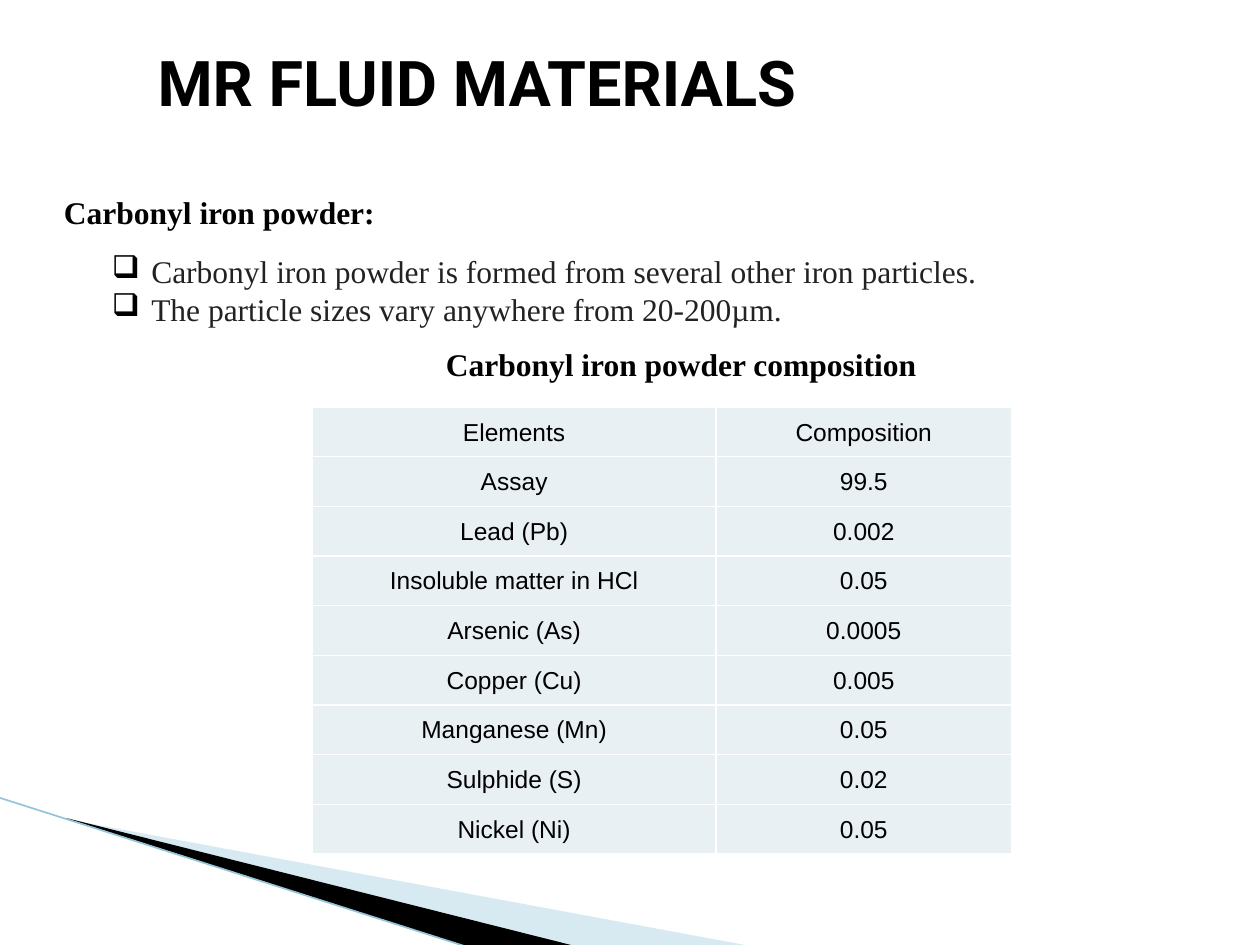
import pptx
import pptx.dml.color
import pptx.enum.shapes
import pptx.enum.text
import pptx.oxml
import pptx.oxml.ns
import pptx.util
from lxml import etree

Pt = pptx.util.Pt
RGBColor = pptx.dml.color.RGBColor

BLACK = RGBColor(0x00, 0x00, 0x00)
WHITE = RGBColor(0xFF, 0xFF, 0xFF)
BODY = RGBColor(0x22, 0x22, 0x22)
CELL = RGBColor(0xE8, 0xF0, 0xF4)
PALE_BLUE = RGBColor(0x9C, 0xCA, 0xDC)
LINE_BLUE = RGBColor(0x93, 0xC5, 0xD8)

COMPOSITION = [
    ("Elements", "Composition"),
    ("Assay", "99.5"),
    ("Lead (Pb)", "0.002"),
    ("Insoluble matter in HCl", "0.05"),
    ("Arsenic (As)", "0.0005"),
    ("Copper (Cu)", "0.005"),
    ("Manganese (Mn)", "0.05"),
    ("Sulphide (S)", "0.02"),
    ("Nickel (Ni)", "0.05"),
]


def add_xml(parent, tag, **attributes):
    return etree.SubElement(parent, pptx.oxml.ns.qn(tag), attributes)


class SlideBuilder:
    title_font = "Roboto"
    body_font = "Times New Roman"
    table_font = "Arial"

    def __init__(self, slide):
        self.slide = slide

    def set_font(self, paragraph, name, size, color=BLACK, bold=False):
        font = paragraph.font
        font.name, font.size, font.bold = name, Pt(size), bold
        font.color.rgb = color

    def wedge(self, points, color, opacity=None):
        corners = [(Pt(x), Pt(y)) for x, y in points]
        builder = self.slide.shapes.build_freeform(*corners[0])
        builder.add_line_segments(corners[1:], close=True)
        shape = builder.convert_to_shape()
        shape.shadow.inherit = False
        shape.line.fill.background()
        shape.fill.solid()
        shape.fill.fore_color.rgb = color
        if opacity is not None:
            solid = shape.fill._xPr.find(pptx.oxml.ns.qn("a:solidFill"))
            add_xml(solid[0], "a:alpha", val=str(opacity * 1000))

    def line(self, start, end, color, width):
        connector = self.slide.shapes.add_connector(
            pptx.enum.shapes.MSO_CONNECTOR.STRAIGHT,
            *(Pt(value) for value in start + end))
        connector.line.color.rgb = color
        connector.line.width = Pt(width)
        add_xml(connector._element.spPr, "a:effectLst")

    def text(self, box, lines, size=18, font=None, color=BLACK, bold=False,
             wrap=False, inset=None, spacing=None, bullet=None):
        shape = self.slide.shapes.add_textbox(*(Pt(value) for value in box))
        frame = shape.text_frame
        frame.word_wrap = wrap
        frame.auto_size = pptx.enum.text.MSO_AUTO_SIZE.SHAPE_TO_FIT_TEXT
        if inset is not None:
            frame.margin_left = frame.margin_right = Pt(inset)
            frame.margin_top = frame.margin_bottom = Pt(inset)
        frame.text = "\n".join(lines)
        for paragraph in frame.paragraphs:
            if spacing:
                paragraph.line_spacing = Pt(spacing)
            if bullet:
                self.bullet(paragraph, bullet)
            self.set_font(paragraph, font or self.body_font, size, color, bold)

    def bullet(self, paragraph, symbol, indent=22.5):
        properties = paragraph._p.get_or_add_pPr()
        properties.set("marL", str(Pt(indent)))
        properties.set("indent", str(-Pt(indent)))
        color = add_xml(properties, "a:buClr")
        add_xml(color, "a:srgbClr", val=str(BLACK))
        add_xml(properties, "a:buChar", char=symbol)

    def table(self, left, top, widths, row_height, rows):
        table = self.slide.shapes.add_table(
            len(rows), len(widths), Pt(left), Pt(top),
            Pt(sum(widths)), Pt(row_height * len(rows))).table
        for column, width in zip(table.columns, widths):
            column.width = Pt(width)
        for row, values in zip(table.rows, rows):
            row.height = Pt(row_height)
            for cell, value in zip(row.cells, values):
                self.cell(cell, value)

    def cell(self, cell, value):
        cell.margin_left = cell.margin_right = cell.margin_top = Pt(0.7)
        cell.margin_bottom = 0
        cell.vertical_anchor = pptx.enum.text.MSO_ANCHOR.MIDDLE
        properties = cell._tc.get_or_add_tcPr()
        for side in ("a:lnL", "a:lnR", "a:lnT", "a:lnB"):
            border = add_xml(properties, side, w=str(Pt(1)))
            add_xml(add_xml(border, "a:solidFill"), "a:srgbClr", val=str(WHITE))
        cell.fill.solid()
        cell.fill.fore_color.rgb = CELL
        cell.text = value
        paragraph = cell.text_frame.paragraphs[0]
        paragraph.alignment = pptx.enum.text.PP_ALIGN.CENTER
        self.set_font(paragraph, self.table_font, 14)


def main():
    presentation = pptx.Presentation()
    presentation.slide_width, presentation.slide_height = Pt(720), Pt(540)
    builder = SlideBuilder(
        presentation.slides.add_slide(presentation.slide_layouts[6]))

    # Corner decoration
    builder.wedge([(39.6, 468.5), (428.4, 540.5), (328.5, 540.5), (39.6, 468)],
                  PALE_BLUE, opacity=40)
    builder.wedge([(38, 467.5), (329, 540.7), (268, 541.2), (38.9, 468)], BLACK)
    builder.line((-0.5, 455.8), (267.3, 541.2), LINE_BLUE, 0.95)

    # Title and heading
    builder.text((90, 29.5, 576.7, 40.3), ["MR FLUID MATERIALS"], size=36,
                 font=builder.title_font, bold=True, wrap=True, inset=0,
                 spacing=38.5)
    builder.text((29.5, 106.6, 194.4, 29), ["Carbonyl iron powder:"], bold=True)

    # Composition table
    builder.table(178.6, 232.6, [230.4, 169.2], 28.4, COMPOSITION)

    # Bullet points and table caption
    builder.text((56.9, 140.4, 518.4, 51),
                 ["Carbonyl iron powder is formed from several other iron particles.",
                  "The particle sizes vary anywhere from 20-200µm."],
                 color=BODY, bullet="❑")
    builder.text((247.7, 193.7, 287.3, 46),
                 ["Carbonyl iron powder composition"], bold=True)

    presentation.save("out.pptx")


if __name__ == "__main__":
    main()
